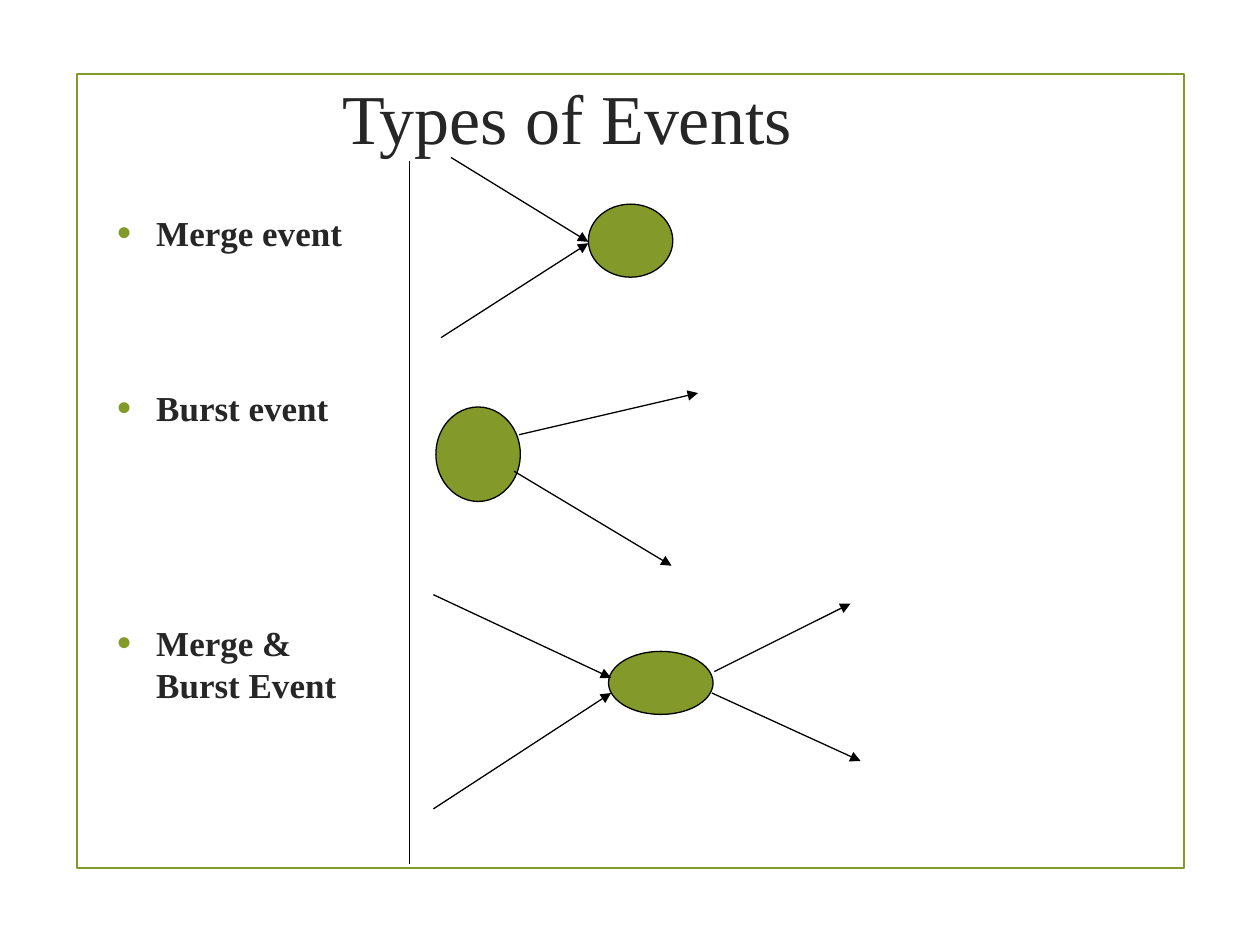
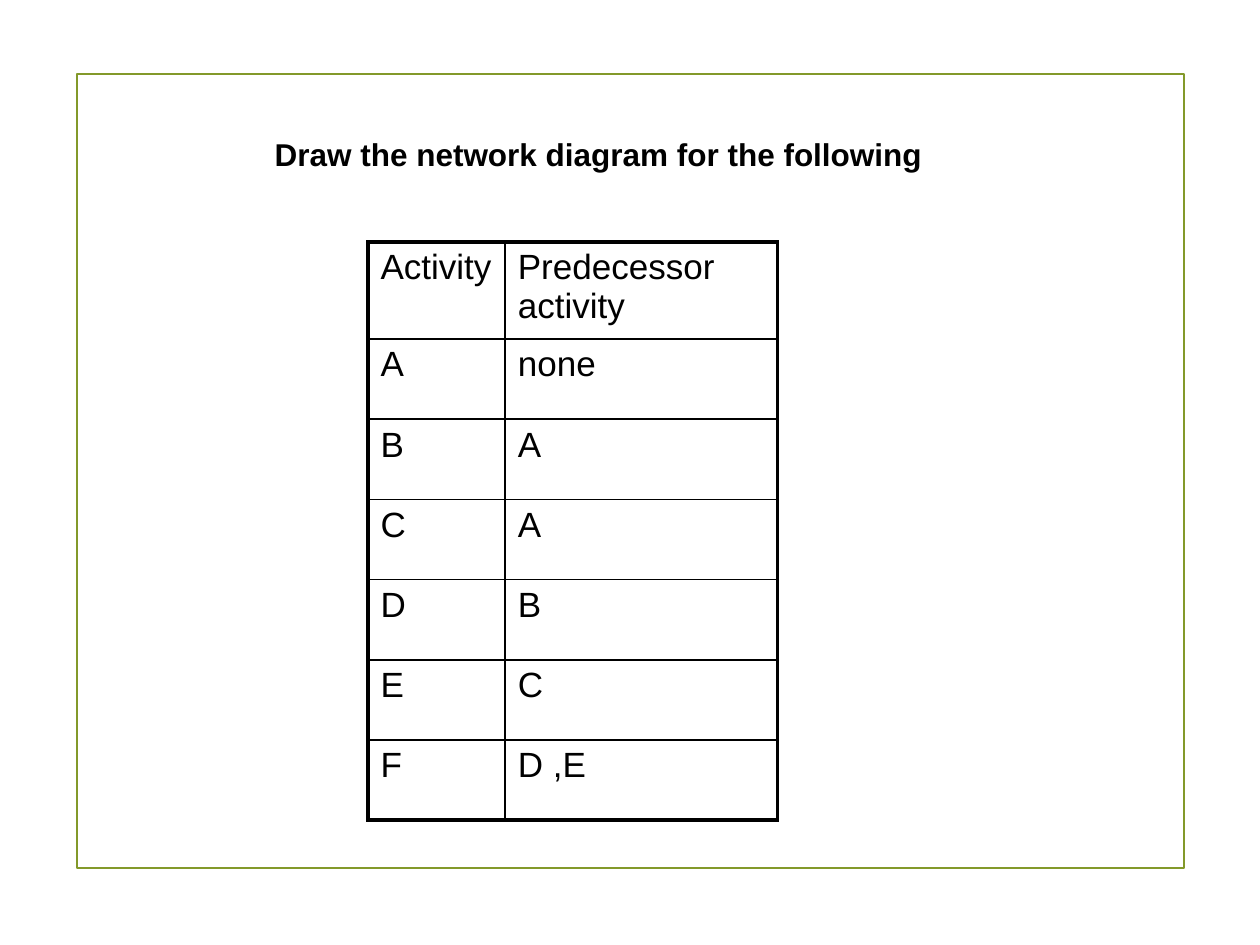
"""Build two slides on network diagram events and activities."""
from typing import NamedTuple

from lxml import etree
from pptx import Presentation
from pptx import util as u
from pptx.dml.color import RGBColor
from pptx.enum import shapes, text
from pptx.oxml import ns

GREEN, BLACK, DARK = "83992A", "000000", "262626"
SERIF, SANS = "Times New Roman", "Arial"
THIN, THICK = 1, 2.25


class Box(NamedTuple):
    """Left, top, width and height in inches."""
    left: float
    top: float
    width: float
    height: float


class Line(NamedTuple):
    """Start and end points in inches."""
    x1: float
    y1: float
    x2: float
    y2: float


class EventDiagram(NamedTuple):
    """An event node and the arrows that enter or leave it."""
    node: Box
    arrows: list[Line]


class BulletItem(NamedTuple):
    """A bullet and the space above it in points."""
    wording: str
    space_before: float


FRAME = Box(0.61, 0.59, 8.79, 6.3)
DIVIDER = Line(3.25, 1.28, 3.25, 6.86)
EVENT_TYPES = [
    BulletItem("Merge event", 0),
    BulletItem("Burst event", 70),
    BulletItem("Merge & Burst Event", 104),
]
DIAGRAMS = [
    EventDiagram(Box(4.67, 1.62, 0.67, 0.58),
                 [Line(3.58, 1.25, 4.67, 1.92), Line(3.5, 2.68, 4.67, 1.93)]),
    EventDiagram(Box(3.46, 3.23, 0.67, 0.75),
                 [Line(4.12, 3.45, 5.54, 3.12), Line(4.08, 3.74, 5.33, 4.49)]),
    EventDiagram(Box(4.83, 5.17, 0.83, 0.5),
                 [Line(3.44, 4.72, 4.85, 5.38), Line(3.44, 6.42, 4.85, 5.5),
                  Line(5.67, 5.33, 6.75, 4.79), Line(5.65, 5.5, 6.83, 6.04)]),
]
ACTIVITIES = [
    ("Activity", "Predecessor activity"),
    ("A", "none"),
    ("B", "A"),
    ("C", "A"),
    ("D", "B"),
    ("E", "C"),
    ("F", "D ,E"),
]
TABLE_BOX = Box(2.92, 1.92, 3.25, 4.59)
COLUMN_WIDTHS = (1.09, 2.16)
HEADER_HEIGHT = 0.77


def rgb(colour: str) -> RGBColor:
    """Turn a hex string into a colour."""
    return RGBColor.from_string(colour)


def inches(lengths) -> list:
    """Turn numbers into lengths in inches."""
    return [u.Inches(length) for length in lengths]


def place(shape, box: Box) -> None:
    """Move and size a shape."""
    shape.left, shape.top, shape.width, shape.height = inches(box)


def write(paragraph, wording: str, *, size: float, font: str, colour: str,
          bold: bool = False, align=text.PP_ALIGN.LEFT,
          before: float = 0, after: float = 0) -> None:
    """Fill a paragraph with formatted text."""
    paragraph.text = wording
    paragraph.alignment = align
    paragraph.space_before, paragraph.space_after = u.Pt(before), u.Pt(after)
    paragraph.font.size, paragraph.font.name = u.Pt(size), font
    paragraph.font.bold = bold
    paragraph.font.color.rgb = rgb(colour)


def add_bullet(paragraph) -> None:
    """Give a paragraph a hanging green bullet."""
    properties = paragraph._p.get_or_add_pPr()
    indent = u.Inches(0.31)
    properties.set("marL", str(indent))
    properties.set("indent", str(-indent))
    colour = etree.SubElement(properties, ns.qn("a:buClr"))
    etree.SubElement(colour, ns.qn("a:srgbClr"), val=GREEN)
    etree.SubElement(properties, ns.qn("a:buSzPct"), val="115000")
    etree.SubElement(properties, ns.qn("a:buFont"), typeface=SANS)
    etree.SubElement(properties, ns.qn("a:buChar"), char="•")


def add_outline(slide, kind, box: Box, *, line: str, width: float,
                fill: str | None = None) -> None:
    """Draw a preset shape with a line and an optional fill."""
    shape = slide.shapes.add_shape(kind, *inches(box))
    shape.shadow.inherit = False
    shape.line.color.rgb, shape.line.width = rgb(line), u.Pt(width)
    if fill:
        shape.fill.solid()
        shape.fill.fore_color.rgb = rgb(fill)
    else:
        shape.fill.background()


def add_line(slide, line: Line, arrow: bool = False) -> None:
    """Draw a thin black line, with an arrowhead if asked."""
    connector = slide.shapes.add_connector(
        shapes.MSO_CONNECTOR.STRAIGHT, *inches(line))
    connector.line.color.rgb, connector.line.width = rgb(BLACK), u.Pt(0.75)
    properties = connector.element.spPr
    if arrow:
        outline = properties.find(ns.qn("a:ln"))
        etree.SubElement(outline, ns.qn("a:tailEnd"), type="triangle")
    etree.SubElement(properties, ns.qn("a:effectLst"))


def add_slide(presentation, layout: int, title: str, box: Box, anchor, **style):
    """Add a framed slide with its title."""
    slide = presentation.slides.add_slide(presentation.slide_layouts[layout])
    add_outline(slide, shapes.MSO_SHAPE.RECTANGLE, FRAME, line=GREEN, width=1.25)
    place(slide.shapes.title, box)
    frame = slide.shapes.title.text_frame
    frame.word_wrap, frame.auto_size = True, text.MSO_AUTO_SIZE.NONE
    frame.vertical_anchor = anchor
    write(frame.paragraphs[0], title, **style)
    return slide


def set_borders(cell, widths: dict[str, float]) -> None:
    """Give a cell black borders, keyed by side in schema order."""
    properties = cell._tc.get_or_add_tcPr()
    for index, (side, width) in enumerate(widths.items()):
        border = etree.Element(ns.qn(f"a:ln{side}"), w=str(u.Pt(width)))
        fill = etree.SubElement(border, ns.qn("a:solidFill"))
        etree.SubElement(fill, ns.qn("a:srgbClr"), val=BLACK)
        properties.insert(index, border)


def add_activity_table(slide) -> None:
    """Draw the activities with thin inner and thick outer borders."""
    last_row, last_column = len(ACTIVITIES) - 1, len(COLUMN_WIDTHS) - 1
    table = slide.shapes.add_table(
        last_row + 1, last_column + 1, *inches(TABLE_BOX)).table
    table.first_row = table.horz_banding = False
    for column, width in zip(table.columns, COLUMN_WIDTHS):
        column.width = u.Inches(width)
    row_height = (TABLE_BOX.height - HEADER_HEIGHT) / last_row
    for r, wordings in enumerate(ACTIVITIES):
        table.rows[r].height = u.Inches(row_height if r else HEADER_HEIGHT)
        for c, wording in enumerate(wordings):
            cell = table.cell(r, c)
            cell.fill.background()
            outer = {"L": c == 0, "R": c == last_column,
                     "T": r == 0, "B": r == last_row}
            set_borders(cell, {side: THICK if edge else THIN
                               for side, edge in outer.items()})
            write(cell.text_frame.paragraphs[0], wording,
                  size=20, font=SANS, colour=BLACK)


def build_events_slide(presentation) -> None:
    """Build the slide on types of events."""
    slide = add_slide(presentation, 1, "Types of Events", Box(0, 0.3, 9, 1.25),
                      text.MSO_ANCHOR.MIDDLE, size=40, font=SERIF, colour=DARK,
                      align=text.PP_ALIGN.CENTER)
    body = slide.placeholders[1]
    place(body, Box(0.83, 1.63, 2.17, 4.95))
    frame = body.text_frame
    frame.auto_size = text.MSO_AUTO_SIZE.NONE
    for index, item in enumerate(EVENT_TYPES):
        paragraph = frame.add_paragraph() if index else frame.paragraphs[0]
        add_bullet(paragraph)
        write(paragraph, item.wording, size=20, font=SERIF, colour=DARK,
              bold=True, before=item.space_before, after=6)
    add_line(slide, DIVIDER)
    for diagram in DIAGRAMS:
        add_outline(slide, shapes.MSO_SHAPE.OVAL, diagram.node,
                    line=BLACK, width=0.75, fill=GREEN)
        for arrow in diagram.arrows:
            add_line(slide, arrow, arrow=True)


def build_exercise_slide(presentation) -> None:
    """Build the slide with the network exercise."""
    slide = add_slide(presentation, 5, "Draw the network diagram for the following",
                      Box(2.08, 1.02, 7.25, 0.4), text.MSO_ANCHOR.TOP,
                      size=18, font=SANS, colour=BLACK, bold=True)
    add_activity_table(slide)


def main() -> None:
    """Build and save the presentation."""
    presentation = Presentation()
    presentation.slide_width, presentation.slide_height = inches((10, 7.5))
    build_events_slide(presentation)
    build_exercise_slide(presentation)
    presentation.save("out.pptx")


if __name__ == "__main__":
    main()
